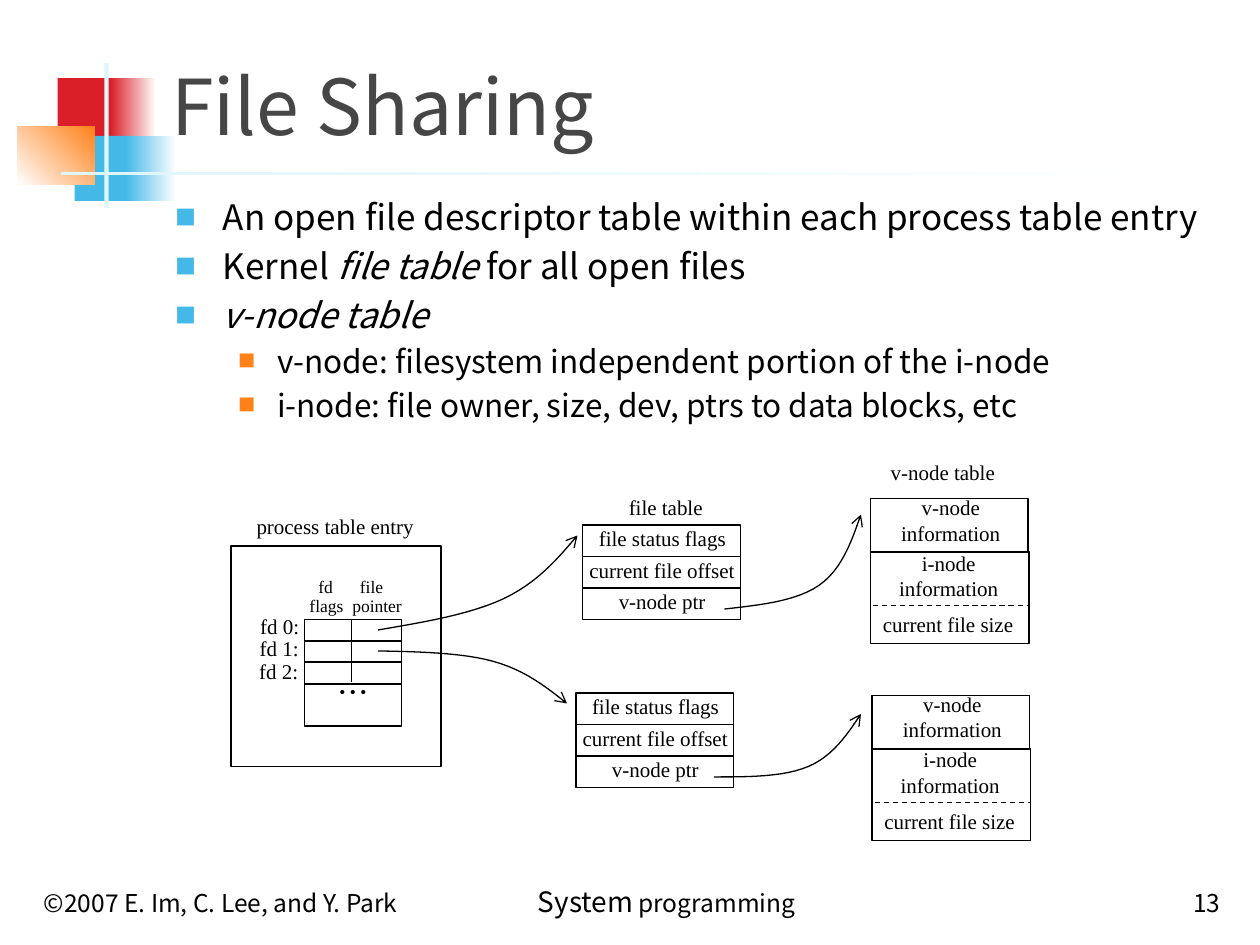
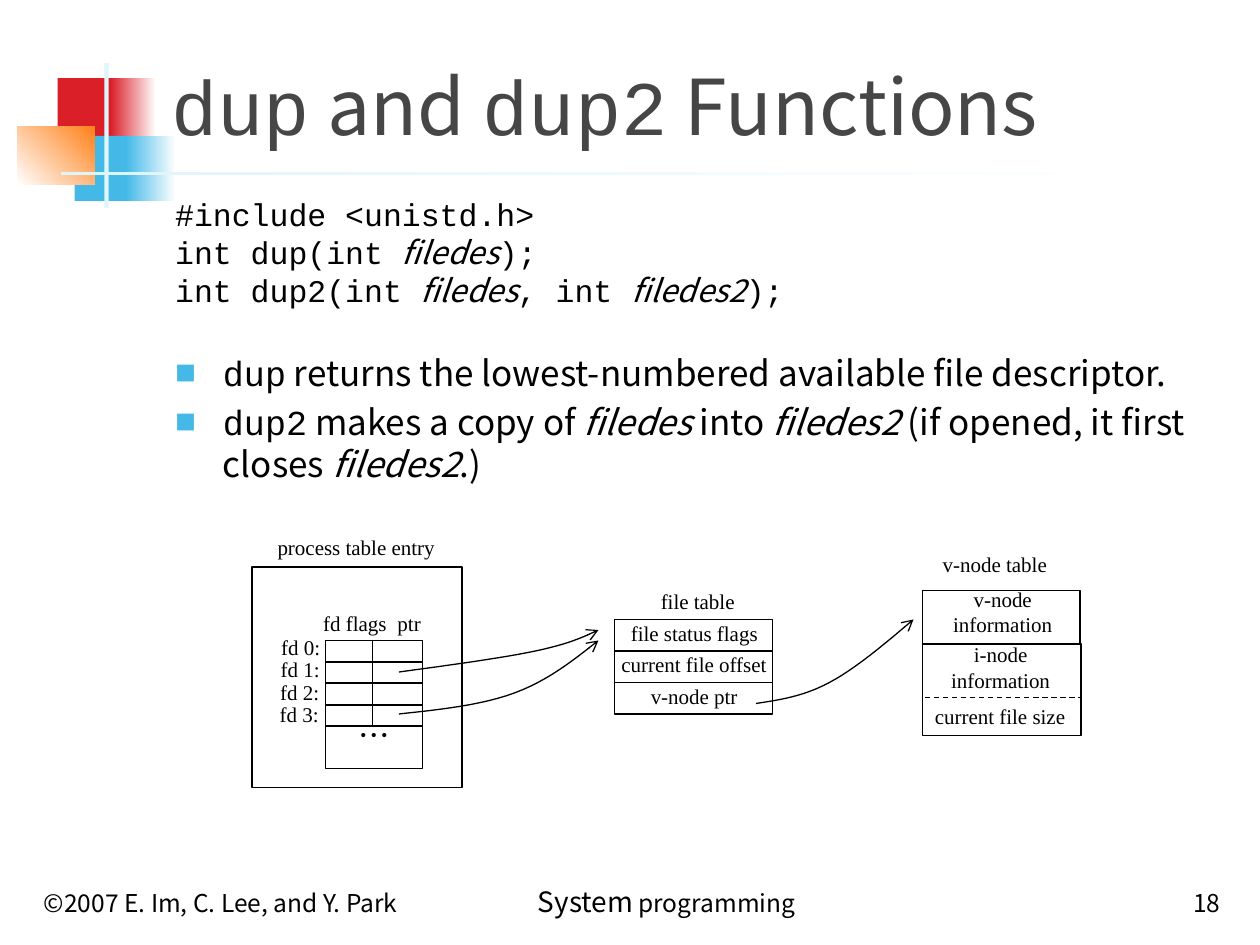
from lxml.etree import SubElement
from pptx import Presentation
from pptx.dml.color import RGBColor
from pptx.enum.dml import MSO_LINE
from pptx.enum.shapes import MSO_CONNECTOR, MSO_SHAPE
from pptx.enum.text import MSO_ANCHOR, PP_ALIGN
from pptx.oxml.ns import qn
from pptx.util import Inches, Pt

BLACK = RGBColor(0x00, 0x00, 0x00)
WHITE = RGBColor(0xFF, 0xFF, 0xFF)
GREY = RGBColor(0x46, 0x46, 0x46)
RED = RGBColor(0xDA, 0x1F, 0x28)
BLUE = RGBColor(0x44, 0xB9, 0xE8)
AMBER = RGBColor(0xFF, 0x81, 0x19)
PALE = RGBColor(0xDE, 0xF5, 0xFA)

SANS = "Noto Sans CJK KR"
MONO = "Courier New"
SERIF = "Times New Roman"
PLAIN, LEAN, CODE = (SANS, False), (SANS, True), (MONO, False)

WIDE, HIGH = Inches(10), Inches(7.5)
COLS = 120
CELL = WIDE / COLS


def grid(*counts):
    return [round(count * CELL) for count in counts]


class Deck:
    def __init__(self):
        self.show = Presentation()
        self.show.slide_width, self.show.slide_height = WIDE, HIGH
        self.base = self.show.slide_layouts[5]
        self.slide = None

    def start(self, title, number):
        first = self.slide is None
        self.slide = self.show.slides.add_slide(self.base)
        if first:
            self.frame()
        head = self.slide.shapes.title
        head.left, head.top, head.width, head.height = grid(15.1, 2.75, 102.25, 12.25)
        head.text_frame.vertical_anchor = MSO_ANCHOR.BOTTOM
        head.text_frame.word_wrap = True
        line = head.text_frame.paragraphs[0]
        line.alignment = PP_ALIGN.LEFT
        self.fill(line, title, 44, GREY)
        self.foot([("©2007 E. Im, C. Lee, and Y. Park", 14)], 3, 37.3)
        self.foot([(str(number), 14)], 92.4, 25, PP_ALIGN.RIGHT)

    def frame(self):
        parts = [
            self.band(5.5, 7.45, 5.75, 6.2, RED),
            self.band(10.5, 7.45, 4.35, 6.2, RED, WHITE),
            self.band(7.1, 12.95, 5.5, 6.2, BLUE),
            self.band(12, 12.95, 4.75, 6.2, BLUE, WHITE),
            self.band(1.65, 12, 7.35, 5.55, WHITE, AMBER, 45),
            self.band(9.95, 6, 0.4, 13.8, PALE),
            self.band(5.8, 16.35, 108, 0.35, PALE, WHITE),
            self.foot([("System", 16), (" programming", 14)], 42, 43, PP_ALIGN.CENTER),
        ]
        for part in parts:
            self.base.shapes.element.append(part.element)

    def band(self, x, y, w, h, tint, fade=None, angle=0):
        band = self.slide.shapes.add_shape(MSO_SHAPE.RECTANGLE, *grid(x, y, w, h))
        band.shadow.inherit = False
        band.line.fill.background()
        if fade is None:
            band.fill.solid()
            band.fill.fore_color.rgb = tint
        else:
            band.fill.gradient()
            band.fill.gradient_angle = angle
            for stop, hue in zip(band.fill.gradient_stops, (tint, fade)):
                stop.color.rgb = hue
        return band

    def fill(self, line, parts, size, tint=BLACK):
        for text, (face, lean) in parts:
            run = line.add_run()
            run.text = text
            self.style(run, face, size, tint)
            run.font.italic = lean

    def style(self, run, face, size, tint=BLACK):
        run.font.size = Pt(size)
        run.font.color.rgb = tint
        run.font.name = face
        SubElement(run.font._element, qn("a:ea"), typeface=face)

    def foot(self, parts, x, w, align=PP_ALIGN.LEFT):
        box = self.slide.shapes.add_textbox(*grid(x, 82, w, 6))
        box.text_frame.word_wrap = True
        box.text_frame.vertical_anchor = MSO_ANCHOR.BOTTOM
        line = box.text_frame.paragraphs[0]
        line.alignment = align
        for text, size in parts:
            self.fill(line, [(text, PLAIN)], size)
        return box

    def body(self, items):
        frame = self.slide.shapes.add_textbox(*grid(15.5, 18, 102, 62.5)).text_frame
        frame.word_wrap = True
        for row, (kind, parts) in enumerate(items):
            line = frame.add_paragraph() if row else frame.paragraphs[0]
            size, left, hang, hue, scale = {
                "code": (18, 0.38, 0.38, None, 0),
                "main": (20, 0.38, 0.38, BLUE, 60),
                "sub": (18, 0.81, 0.31, AMBER, 55),
            }[kind]
            if row and hue:
                gap = size * 0.2
                if items[row - 1][0] == "code":
                    gap += 20.4
                line.space_before = Pt(gap)
            props = line._p.get_or_add_pPr()
            props.set("marL", str(Inches(left)))
            props.set("indent", str(-Inches(hang)))
            if hue:
                tint = SubElement(props, qn("a:buClr"))
                SubElement(tint, qn("a:srgbClr"), val=str(hue))
                SubElement(props, qn("a:buSzPct"), val=str(scale * 1000))
                SubElement(props, qn("a:buFont"), typeface=SANS)
                SubElement(props, qn("a:buChar"), char="■")
            else:
                SubElement(props, qn("a:buNone"))
            self.fill(line, parts, size)

    def label(self, text, x, y, w, h=3.6, size=12, face=SERIF, align=None, tabs=(), space=None):
        frame = self.slide.shapes.add_textbox(*grid(x, y, w, h)).text_frame
        frame.word_wrap = False
        frame.text = text
        for line in frame.paragraphs:
            line.alignment = align
            line.line_spacing = space
            for run in line.runs:
                self.style(run, face, size)
        for line, stops in zip(frame.paragraphs, tabs):
            rack = SubElement(line._p.get_or_add_pPr(), qn("a:tabLst"))
            for stop in stops:
                SubElement(rack, qn("a:tab"), pos=str(Inches(stop)), algn="l")

    def rect(self, x, y, w, h):
        rect = self.slide.shapes.add_shape(MSO_SHAPE.RECTANGLE, *grid(x, y, w, h))
        rect.shadow.inherit = False
        rect.fill.background()
        self.ink(rect)

    def ink(self, shape):
        shape.line.color.rgb = BLACK
        shape.line.width = Pt(0.75)

    def rule(self, x, y, end, foot, dash=False):
        rule = self.slide.shapes.add_connector(MSO_CONNECTOR.STRAIGHT, *grid(x, y, end, foot))
        self.ink(rule)
        if dash:
            rule.line.dash_style = MSO_LINE.DASH
        SubElement(rule._element.spPr, qn("a:effectLst"))

    def curve(self, start, mid, end, steps=12):
        def blend(a, b, t):
            return tuple(p + (q - p) * t for p, q in zip(a, b))

        def bend(points, t):
            while len(points) > 1:
                points = [blend(a, b, t) for a, b in zip(points, points[1:])]
            return points[0]

        pull = [(b - a) / 6 for a, b in zip(start, end)]
        near = tuple(m - p for m, p in zip(mid, pull))
        far = tuple(m + p for m, p in zip(mid, pull))
        halves = ([start, blend(start, near, 0.5), near, mid],
                  [mid, far, blend(far, end, 0.5), end])
        dots = [grid(*bend(half, k / steps)) for half in halves for k in range(1, steps + 1)]
        build = self.slide.shapes.build_freeform(*grid(*start))
        build.add_line_segments(dots, close=False)
        curve = build.convert_to_shape()
        curve.shadow.inherit = False
        curve.fill.background()
        self.ink(curve)
        SubElement(curve.line._get_or_add_ln(), qn("a:tailEnd"), type="arrow")

    def entry(self, x, y, count):
        left, top, pitch = x + 7, y + 7, 2.05
        base = top + count * pitch
        self.rect(x, y, 20, 21)
        for row in range(count):
            self.rect(left, top + row * pitch, 9.25, 2)
            self.label(f"fd {row}:", left - 5.4 - row * 0.05, top - 1.2 + row * 2.15, 6.1)
        self.rect(left, base, 9.25, 4)
        self.rule(x + 11.5, top, x + 11.5, base - 0.15)
        self.label("…", x + 9, base - 1.6, 4.9, 4.8, 18, SANS)
        self.label("process table entry", x + 1.25, y - 3.65, 17.4)

    def files(self, x, y):
        rows = [("file status flags", 14.5), ("current file offset", 16.3), ("v-node ptr", 10.7)]
        for row, (text, wide) in enumerate(rows):
            self.rect(x, y + row * 3, 15, 3)
            self.label(text, x + 7.6 - wide / 2, y + row * 3 - 0.52, wide)

    def vnode(self, x, y):
        self.rect(x, y, 15, 5.1)
        self.rect(x, y + 5.05, 15.1, 8.75)
        for name, dx, dy in (("v-node", 1.7, -0.95), ("i-node", 1.5, 4.3)):
            self.label(f"{name}\ninformation", x + dx, y + dy, 11.9, 6, align=PP_ALIGN.CENTER)
        self.label("current file size", x, y + 10.2, 14.9)
        self.rule(x + 0.25, y + 10.2, x + 15.1, y + 10.2, dash=True)

    def heads(self, table, node):
        self.label("file table", table[0] + 3.2, table[1] - 3.5, 9.5)
        self.label("v-node table", node[0] + 0.75, node[1] - 4.3, 12.4)


def share(deck):
    deck.start([("File Sharing", PLAIN)], 13)
    deck.body([
        ("main", [("An open file descriptor table within each process table entry", PLAIN)]),
        ("main", [("Kernel", PLAIN), (" file table ", LEAN), ("for all open files", PLAIN)]),
        ("main", [("v-node table", LEAN)]),
        ("sub", [("v-node: filesystem independent portion of the i-node", PLAIN)]),
        ("sub", [("i-node: file owner, size, dev, ptrs to data blocks, etc", PLAIN)]),
    ])
    tables = [(55.5, 50), (54.85, 66)]
    nodes = [(82.9, 47.5), (83.05, 66.25)]
    deck.entry(22, 52, 3)
    deck.label("\tfd\tfile\nflags\tpointer", 28.3, 54.5, 11.3, 4.8, 10,
               tabs=[(0.07, 0.4), (0.34,)], space=0.9)
    for table, node in zip(tables, nodes):
        deck.files(*table)
        deck.vnode(*node)
    deck.heads(tables[0], nodes[0])
    deck.curve((36, 60), (48, 57), (55, 51))
    deck.curve((36, 62), (47, 63), (54, 67))
    deck.curve((69, 58), (78, 55.75), (82, 49))
    deck.curve((68, 74), (77, 73), (82, 68))


def twin(deck):
    deck.start([("dup", CODE), (" and ", PLAIN), ("dup2", CODE), (" Functions", PLAIN)], 18)
    deck.body([
        ("code", [("#include <unistd.h>", CODE)]),
        ("code", [("int dup(int ", CODE), ("filedes", LEAN), (");", CODE)]),
        ("code", [("int dup2(int ", CODE), ("filedes", LEAN), (", int ", CODE),
                  ("filedes2", LEAN), (");", CODE)]),
        ("main", [("dup", CODE),
                  (" returns the lowest-numbered available file descriptor.", PLAIN)]),
        ("main", [("dup2", CODE), (" makes a copy of ", PLAIN), ("filedes", LEAN),
                  (" into ", PLAIN), ("filedes2", LEAN),
                  (" (if opened, it first closes ", PLAIN), ("filedes2", LEAN), (".)", PLAIN)]),
    ])
    table, node = (58.55, 59), (87.85, 56.25)
    deck.entry(24, 54, 4)
    deck.label("fd flags\tptr", 29.6, 57.6, 11.8, tabs=[(0.59,)])
    deck.files(*table)
    deck.vnode(*node)
    deck.heads(table, node)
    deck.curve((72, 67), (79, 65), (87, 59))
    deck.curve((38, 68), (49, 66), (57, 61))
    deck.curve((38, 64), (51, 62), (57, 60))


def main():
    deck = Deck()
    share(deck)
    twin(deck)
    deck.show.save("out.pptx")


if __name__ == "__main__":
    main()
